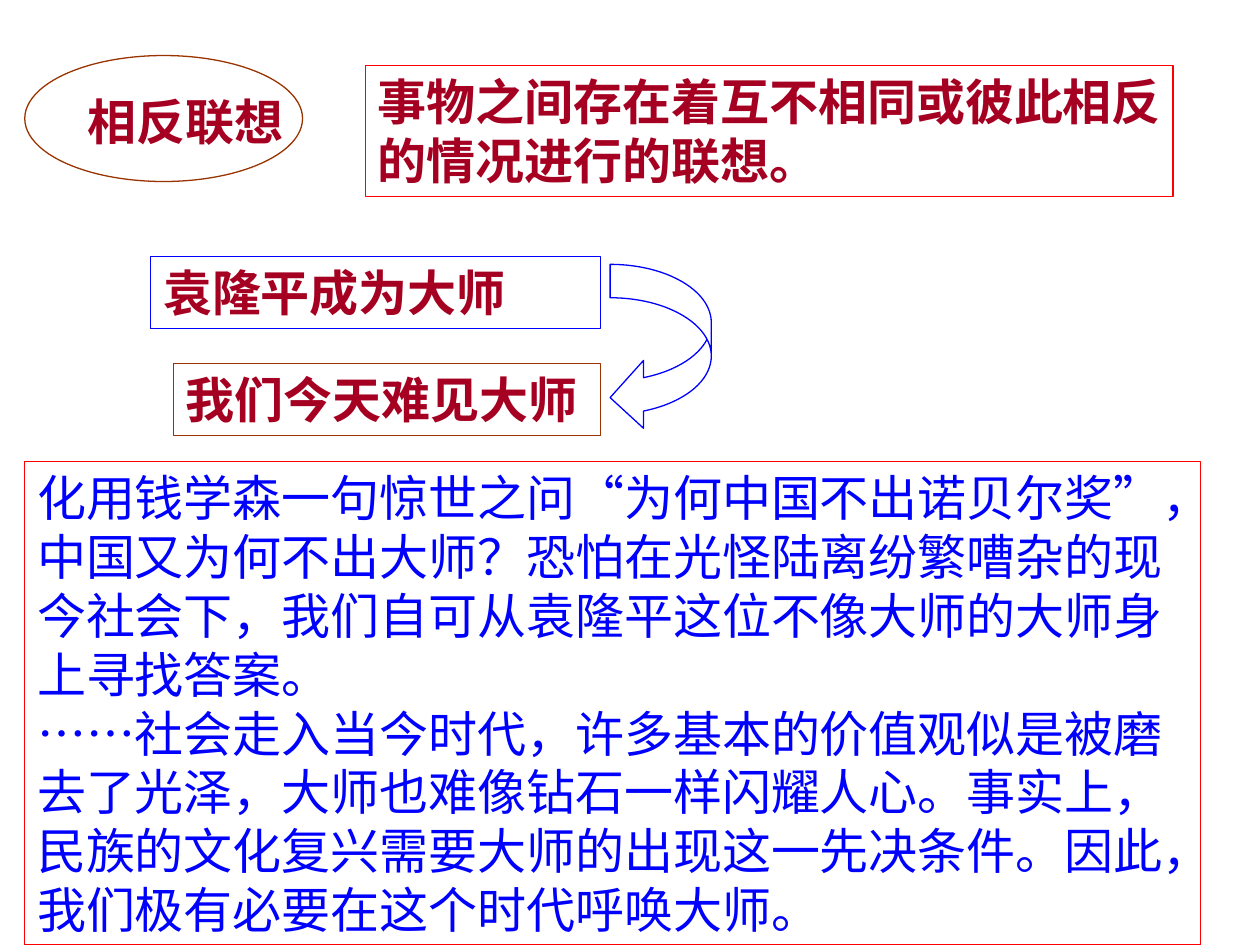
"""Build the slide on association by contrast, with its example and closing passage."""
from pptx import Presentation
from pptx.dml.color import RGBColor
from pptx.enum.lang import MSO_LANGUAGE_ID
from pptx.enum.shapes import MSO_SHAPE
from pptx.enum.text import MSO_ANCHOR, MSO_AUTO_SIZE, PP_ALIGN
from pptx.util import Cm, Pt

OVAL, RECTANGLE = MSO_SHAPE.OVAL, MSO_SHAPE.RECTANGLE
CURVED_ARROW = MSO_SHAPE.CURVED_LEFT_ARROW
TOP, MIDDLE = MSO_ANCHOR.TOP, MSO_ANCHOR.MIDDLE
LEFT = PP_ALIGN.LEFT
FIT_SHAPE = MSO_AUTO_SIZE.SHAPE_TO_FIT_TEXT
CHINESE = MSO_LANGUAGE_ID.SIMPLIFIED_CHINESE

FONT = "Karla"
CRIMSON, RED, BLUE, BROWN = "A50021", "FF0000", "0000FF", "993300"


def color(hex_string):
    return RGBColor.from_string(hex_string)


def write(shape, lines, text_color, bold, wrap, anchor):
    frame = shape.text_frame
    frame.word_wrap = wrap
    frame.auto_size = FIT_SHAPE
    frame.vertical_anchor = anchor
    for index, line in enumerate(lines):
        paragraph = frame.add_paragraph() if index else frame.paragraphs[0]
        paragraph.alignment = LEFT
        run = paragraph.add_run()
        run.text = line
        run.font.name = FONT
        run.font.size = Pt(28)
        run.font.bold = bold
        run.font.color.rgb = color(text_color)
        run.font.language_id = CHINESE


definition = ["事物之间存在着互不相同或彼此相反", "的情况进行的联想。"]
passage = [
    "化用钱学森一句惊世之问“为何中国不出诺贝尔奖”，中国又为何不出大师？"
    "恐怕在光怪陆离纷繁嘈杂的现今社会下，我们自可从袁隆平这位不像大师的大师身上寻找答案。",
    "……社会走入当今时代，许多基本的价值观似是被磨去了光泽，大师也难像钻石一样闪耀人心。"
    "事实上，民族的文化复兴需要大师的出现这一先决条件。因此，我们极有必要在这个时代呼唤大师。",
]

presentation = Presentation()
presentation.slide_width, presentation.slide_height = Cm(25.4), Cm(19.05)
slide = presentation.slides.add_slide(presentation.slide_layouts[6])

outlines = [
    (OVAL, 0.5, 1.12, 5.6, 2.54, BROWN, [], CRIMSON, True, True, TOP),
    (RECTANGLE, 7.37, 1.32, 16.28, 2.64, RED, definition, CRIMSON, True, False, TOP),
    (RECTANGLE, 3.04, 5.17, 9.07, 1.45, BLUE, ["袁隆平成为大师"], CRIMSON, True, True, TOP),
    (CURVED_ARROW, 12.3, 5.33, 2.04, 3.37, BLUE, [], BLUE, False, True, TOP),
    (RECTANGLE, 3.5, 7.33, 8.61, 1.45, BROWN, ["我们今天难见大师"], CRIMSON, True, True, TOP),
    (RECTANGLE, 0.5, 9.3, 23.7, 9.75, RED, passage, BLUE, False, True, MIDDLE),
]
for kind, left, top, width, height, line_color, lines, text_color, bold, wrap, anchor in outlines:
    shape = slide.shapes.add_shape(kind, Cm(left), Cm(top), Cm(width), Cm(height))
    shape.shadow.inherit = False
    shape.fill.background()
    shape.line.color.rgb = color(line_color)
    shape.line.width = Pt(0.75)
    if kind == CURVED_ARROW:
        for index, ratio in enumerate((0.33, 0.67, 0.33)):
            shape.adjustments[index] = ratio
    if lines:
        write(shape, lines, text_color, bold, wrap, anchor)
    if not wrap:
        shape.text_frame.margin_right = Cm(0.1)

topic = slide.shapes.add_textbox(Cm(1.52), Cm(1.73), Cm(4.45), Cm(1.45))
write(topic, ["相反联想"], CRIMSON, True, False, TOP)

presentation.save("out.pptx")
